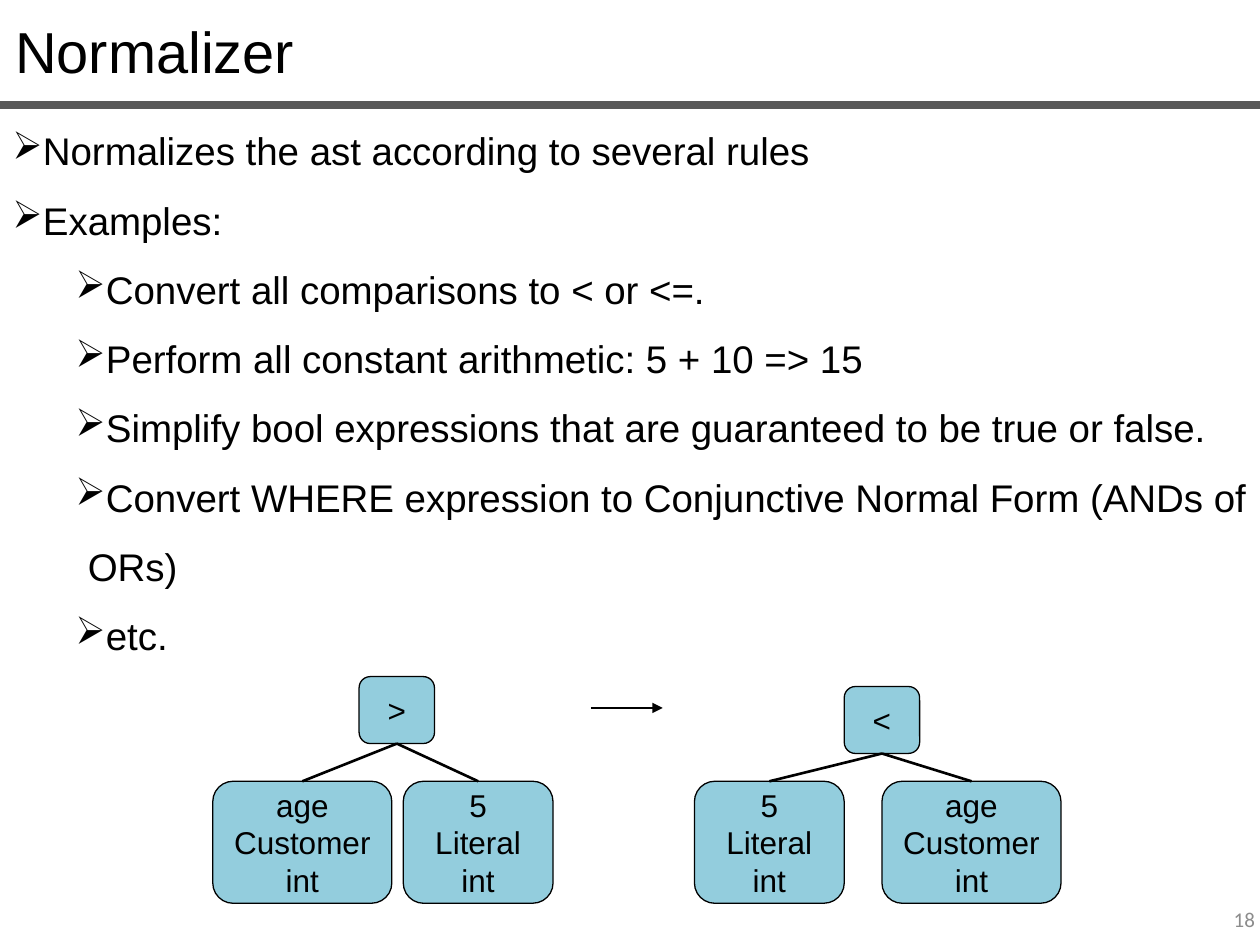
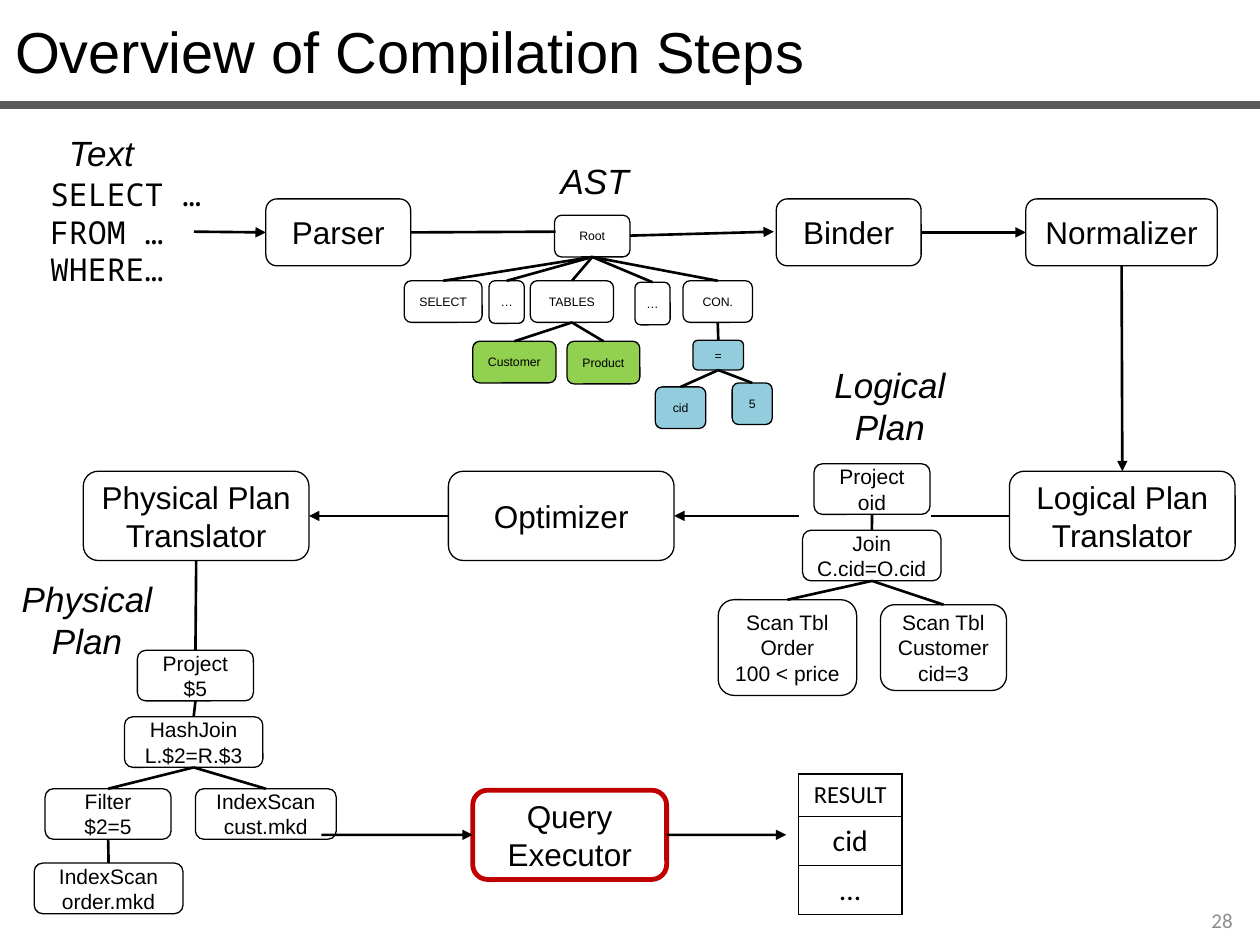
from dataclasses import dataclass

from lxml.etree import SubElement
from pptx import Presentation
from pptx.dml.color import RGBColor
from pptx.enum.shapes import MSO_CONNECTOR, MSO_SHAPE
from pptx.enum.text import MSO_ANCHOR, MSO_AUTO_SIZE, PP_ALIGN
from pptx.oxml.ns import qn
from pptx.util import Cm, Pt

TOP, LEFT, BOTTOM, RIGHT = range(4)  # connection sites of a box


@dataclass(frozen=True)
class Theme:
    ink: str = "000000"
    paper: str = "FFFFFF"
    rule: str = "595959"
    muted: str = "8C8C8C"
    blue: str = "93CDDD"
    green: str = "92D050"
    red: str = "C00000"
    sans: str = "Arial"
    mono: str = "Noto Sans Mono"
    table_font: str = "Calibri"
    title: int = 33
    body: int = 22
    label: int = 20
    step: int = 18
    plan: int = 12
    ast: int = 7
    number: int = 12
    table_head: int = 14
    table_cell: int = 17


class Deck:
    """Holds the theme and the slide being drawn."""

    def __init__(self, theme):
        self.theme = theme
        self.file = Presentation()
        self.file.slide_width, self.file.slide_height = Cm(25.4), Cm(19.05)
        self.slide = None

    # Slide frame: title, rule and page number
    def start(self, title, number, number_at):
        t = self.theme
        self.slide = self.file.slides.add_slide(self.file.slide_layouts[5])
        heading = self.slide.shapes.title
        heading.left, heading.top, heading.width, heading.height = map(Cm, (0.05, 0.18, 25.35, 1.68))
        self.fill_text(heading.text_frame, [title], t.title)
        self.line((0, 2.11), (25.4, 2.11), color=t.rule, width=4.5)
        self.text([number], (*number_at, 5.92, 1.02), t.number, font=t.table_font,
                  color=t.muted, align=PP_ALIGN.RIGHT, anchor=MSO_ANCHOR.MIDDLE)

    def format(self, paragraph, size, font=None, color=None, align=PP_ALIGN.LEFT,
               italic=False, spacing=1.0):
        paragraph.alignment = align
        paragraph.line_spacing = spacing
        paragraph.font.size = Pt(size)
        paragraph.font.name = font or self.theme.sans
        paragraph.font.italic = italic
        paragraph.font.color.rgb = RGBColor.from_string(color or self.theme.ink)

    def fill_text(self, frame, lines, size, anchor=MSO_ANCHOR.MIDDLE, **style):
        frame.word_wrap = True
        frame.auto_size = MSO_AUTO_SIZE.NONE
        frame.vertical_anchor = anchor
        frame.text = "\n".join(lines)
        for paragraph in frame.paragraphs:
            self.format(paragraph, size, **style)

    def text(self, lines, area, size, anchor=MSO_ANCHOR.TOP, **style):
        holder = self.slide.shapes.add_textbox(*map(Cm, area))
        self.fill_text(holder.text_frame, lines, size, anchor, **style)

    def bullets(self, items, area):
        frame = self.slide.shapes.add_textbox(*map(Cm, area)).text_frame
        frame.word_wrap = True
        for index, (level, words) in enumerate(items):
            paragraph = frame.add_paragraph() if index else frame.paragraphs[0]
            paragraph.text = words
            paragraph.level = level
            properties = paragraph._p.get_or_add_pPr()
            properties.set("marL", str(Cm(0.25 + 1.27 * level)))
            properties.set("indent", str(-Cm(0.25)))
            SubElement(properties, qn("a:buChar")).set("char", "➢")
            self.format(paragraph, self.theme.body, spacing=1.5)

    def box(self, words, area, size, fill=None, border=None, width=0.75):
        t = self.theme
        shape = self.slide.shapes.add_shape(MSO_SHAPE.ROUNDED_RECTANGLE, *map(Cm, area))
        shape.shadow.inherit = False
        shape.fill.solid()
        shape.fill.fore_color.rgb = RGBColor.from_string(fill or t.paper)
        shape.line.color.rgb = RGBColor.from_string(border or t.ink)
        shape.line.width = Pt(width)
        frame = shape.text_frame
        frame.margin_left = frame.margin_right = Cm(0.1)
        frame.margin_top = frame.margin_bottom = 0
        self.fill_text(frame, words.split("\n"), size, align=PP_ALIGN.CENTER)
        return shape

    def line(self, start, end, arrow=False, color=None, width=1.5):
        """Each end is a point in cm or a (box, connection site) pair."""
        connector = self.slide.shapes.add_connector(MSO_CONNECTOR.STRAIGHT, 0, 0, 0, 0)
        if isinstance(start[0], (int, float)):
            connector.begin_x, connector.begin_y = map(Cm, start)
        else:
            connector.begin_connect(*start)
        if isinstance(end[0], (int, float)):
            connector.end_x, connector.end_y = map(Cm, end)
        else:
            connector.end_connect(*end)
        connector.line.color.rgb = RGBColor.from_string(color or self.theme.ink)
        connector.line.width = Pt(width)
        if arrow:
            SubElement(connector.line._get_or_add_ln(), qn("a:tailEnd")).set("type", "triangle")
        SubElement(connector._element.spPr, qn("a:effectLst"))

    def tree(self, nodes, edges, size):
        """Nodes are key: (words, area, fill); edges map a parent to its children."""
        boxes = {key: self.box(words, area, size, fill)
                 for key, (words, area, fill) in nodes.items()}
        for parent, children in edges.items():
            for child in children:
                self.line((boxes[parent], BOTTOM), (boxes[child], TOP))
        return boxes

    def table(self, rows, area, heights):
        t = self.theme
        grid = self.slide.shapes.add_table(len(rows), 1, *map(Cm, area)).table
        for index, (words, height) in enumerate(zip(rows, heights)):
            grid.rows[index].height = Cm(height)
            cell = grid.cell(index, 0)
            cell.text = words
            cell.vertical_anchor = MSO_ANCHOR.MIDDLE
            cell.margin_left = cell.margin_right = Cm(0.1)
            self.format(cell.text_frame.paragraphs[0], t.table_cell if index else t.table_head,
                        font=t.table_font, align=PP_ALIGN.CENTER)
            properties = cell._tc.get_or_add_tcPr()
            for side in ("lnL", "lnR", "lnT", "lnB"):
                edge = SubElement(properties, qn(f"a:{side}"), w=str(Pt(1)))
                ink = SubElement(edge, qn("a:solidFill"))
                SubElement(ink, qn("a:srgbClr")).set("val", t.ink)
            cell.fill.solid()
            cell.fill.fore_color.rgb = RGBColor.from_string(t.paper)


def normalizer(deck):
    t = deck.theme
    deck.start("Normalizer", "18", (19.63, 18.01))
    deck.bullets([
        (0, "Normalizes the ast according to several rules"),
        (0, "Examples:"),
        (1, "Convert all comparisons to < or <=."),
        (1, "Perform all constant arithmetic: 5 + 10 => 15"),
        (1, "Simplify bool expressions that are guaranteed to be true or false."),
        (1, "Convert WHERE expression to Conjunctive Normal Form (ANDs of ORs)"),
        (1, "etc."),
    ], (0, 1.98, 25.4, 11.38))

    # The comparison before and after
    for sign, sign_x, sign_y, age_x, five_x in ((">", 7.24, 13.64, 4.29, 8.13),
                                                ("<", 17.02, 13.84, 17.78, 14)):
        deck.tree({
            "sign": (sign, (sign_x, sign_y, 1.52, 1.35), t.blue),
            "age": ("age\nCustomer\nint", (age_x, 15.75, 3.61, 2.46), t.blue),
            "five": ("5\nLiteral\nint", (five_x, 15.75, 3.02, 2.46), t.blue),
        }, {"sign": ["age", "five"]}, t.step)
    deck.line((11.91, 14.27), (13.36, 14.27), arrow=True)


def compilation_steps(deck):
    t = deck.theme
    deck.start("Overview of Compilation Steps", "28", (19.18, 18.03))
    deck.text(["SELECT …", "FROM …", "WHERE…"], (0.76, 3.4, 3.76, 2.57), t.step, font=t.mono)

    # Compiler steps
    top_row, middle_row = 4.01, 9.5
    parser = deck.box("Parser", (5.36, top_row, 2.92, 1.35), t.step)
    binder = deck.box("Binder", (15.65, top_row, 2.92, 1.35), t.step)
    normalizer_step = deck.box("Normalizer", (20.68, top_row, 3.86, 1.35), t.step)
    logical, optimizer, physical = (
        deck.box(words, (x, middle_row, 4.55, 1.8), t.step)
        for words, x in (("Logical Plan Translator", 20.35), ("Optimizer", 9.04),
                         ("Physical Plan Translator", 1.68)))
    executor = deck.box("Query Executor", (9.53, 15.93, 3.91, 1.8), t.step,
                        border=t.red, width=2.75)

    # Syntax tree
    deck.tree({
        "root": ("Root", (11.18, 4.34, 1.52, 0.84), None),
        "select": ("SELECT", (8.15, 5.66, 1.57, 0.84), None),
        "more": ("…", (9.86, 5.66, 0.71, 0.86), None),
        "tables": ("TABLES", (10.69, 5.66, 1.68, 0.84), None),
        "others": ("…", (12.8, 5.69, 0.71, 0.86), None),
        "condition": ("CON.", (13.77, 5.66, 1.4, 0.84), None),
        "customer": ("Customer", (9.53, 6.88, 1.68, 0.84), t.green),
        "product": ("Product", (11.43, 6.88, 1.47, 0.86), t.green),
        "equals": ("=", (13.97, 6.86, 1.02, 0.6), t.blue),
        "cid": ("cid", (13.21, 7.8, 1.02, 0.84), t.blue),
        "five": ("5", (14.76, 7.72, 0.81, 0.84), t.blue),
    }, {
        "root": ["select", "more", "tables", "others", "condition"],
        "tables": ["customer", "product"],
        "condition": ["equals"],
        "equals": ["cid", "five"],
    }, t.ast)

    # Logical plan
    deck.tree({
        "project": ("Project\noid", (16.41, 9.35, 2.34, 1.02), None),
        "join": ("Join\nC.cid=O.cid", (16.18, 10.69, 2.79, 1.02), None),
        "order": ("Scan Tbl\nOrder\n100 < price", (14.48, 12.09, 2.79, 1.93), None),
        "customer": ("Scan Tbl\nCustomer\ncid=3", (17.75, 12.19, 2.54, 1.73), None),
    }, {"project": ["join"], "join": ["order", "customer"]}, t.plan)

    # Physical plan
    physical_plan = deck.tree({
        "project": ("Project\n$5", (2.77, 13.11, 2.34, 1.02), None),
        "join": ("HashJoin\nL.$2=R.$3", (2.51, 14.45, 2.79, 1.02), None),
        "filter": ("Filter\n$2=5", (0.91, 15.9, 2.54, 1.02), None),
        "order": ("IndexScan\norder.mkd", (0.69, 17.4, 3, 1.02), None),
        "customer": ("IndexScan cust.mkd", (3.94, 15.9, 2.84, 1.02), None),
    }, {"project": ["join"], "join": ["filter", "customer"], "filter": ["order"]}, t.plan)

    # Flow between the steps
    for start, end, arrow in (
        ((3.91, 4.67), (parser, LEFT), True),
        ((parser, RIGHT), (11.2, 4.67), False),
        ((12.7, 4.75), (15.6, 4.67), True),
        ((binder, RIGHT), (normalizer_step, LEFT), True),
        ((normalizer_step, BOTTOM), (logical, TOP), True),
        ((logical, LEFT), (18.77, 10.4), False),
        ((16.1, 10.4), (optimizer, RIGHT), True),
        ((optimizer, LEFT), (physical, RIGHT), True),
        ((physical, BOTTOM), (physical_plan["project"], TOP), False),
        ((6.48, 16.83), (executor, LEFT), True),
        ((executor, RIGHT), (15.85, 16.83), True),
    ):
        deck.line(start, end, arrow)

    # Result and names of the intermediate forms
    deck.table(["RESULT", "cid", "…"], (16.1, 15.6, 2.08, 2.82), (0.86, 0.98, 0.98))
    for form, x, y in (("AST", 11.05, 2.67), ("Text", 1.14, 2.11)):
        deck.text([form], (x, y, 2.06, 1.37), t.label, italic=True, spacing=1.5)
    for form, x, y, width in (("Logical Plan", 15.82, 7.21, 4.24),
                              ("Physical Plan", 0.05, 11.51, 3.41)):
        deck.text([form], (x, y, width, 1.96), t.label, italic=True, align=PP_ALIGN.CENTER)


def main():
    deck = Deck(Theme())
    normalizer(deck)
    compilation_steps(deck)
    deck.file.save("out.pptx")


if __name__ == "__main__":
    main()
